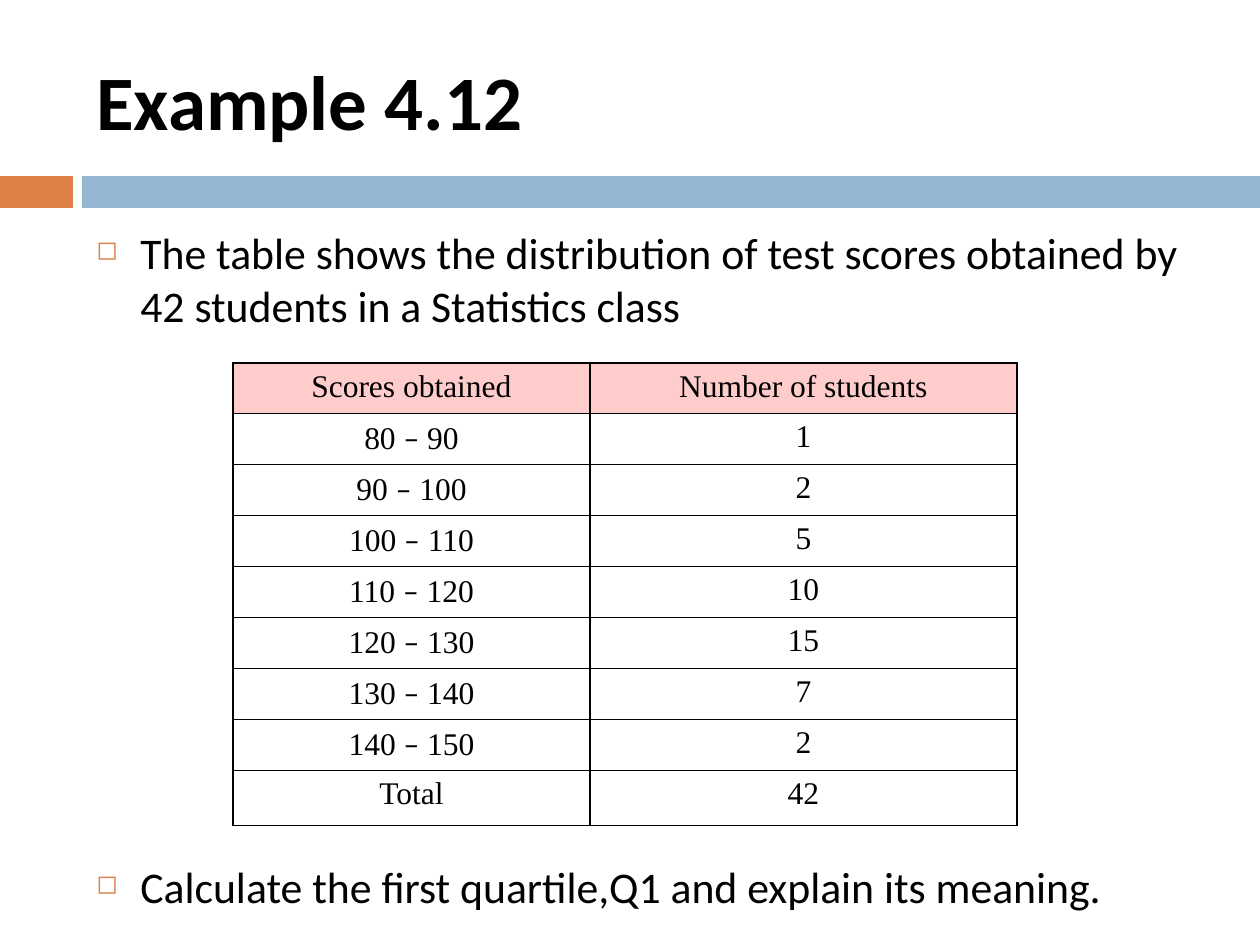
from lxml.etree import SubElement
from pptx import Presentation
from pptx.dml.color import RGBColor
from pptx.enum.shapes import MSO_SHAPE
from pptx.enum.text import MSO_ANCHOR, PP_ALIGN
from pptx.oxml.ns import qn
from pptx.util import Pt

SCALE = 914400 // 126
BLACK, ORANGE, BLUE, PINK = "000000", "DD8047", "94B6D2", "FFCCCC"
DASH = "–"

TITLE = ("Example 4.12", (84, 32, 1124, 136))
BULLETS = [
    ("The table shows the distribution of test scores obtained by "
     "42 students in a Statistics class", (84, 220, 1111, 123)),
    ("Calculate the first quartile,Q1 and explain its meaning.", (84, 854, 1111, 70)),
]
BARS = [(ORANGE, (0, 176, 73, 32)), (BLUE, (82, 176, 1178, 32))]
SCORES = [
    ("Scores obtained", "Number of students"),
    ("80 – 90", "1"),
    ("90 – 100", "2"),
    ("100 – 110", "5"),
    ("110 – 120", "10"),
    ("120 – 130", "15"),
    ("130 – 140", "7"),
    ("140 – 150", "2"),
    ("Total", "42"),
]
TABLE_LEFT, TABLE_TOP = 233, 363
COLUMN_WIDTHS = [357, 427]
ROW_HEIGHTS = [50] + [51] * (len(SCORES) - 2) + [55]


def emu(*pixels):
    return [value * SCALE for value in pixels]


def color(value):
    return RGBColor.from_string(value)


def set_font(font, name, size, bold=False):
    font.name, font.size, font.bold = name, Pt(size), bold
    font.color.rgb = color(BLACK)


def add_text(slide, text, box, size, bold=False):
    frame = slide.shapes.add_textbox(*emu(*box)).text_frame
    frame.word_wrap = True
    paragraph = frame.paragraphs[0]
    paragraph.text = text
    set_font(paragraph.font, "Calibri", size, bold)
    return frame


def add_bullet(paragraph):
    properties = paragraph._p.get_or_add_pPr()
    indent = 44 * SCALE
    properties.set("marL", str(indent))
    properties.set("indent", str(-indent))
    marks = [("a:buClr", {}), ("a:buSzPct", {"val": "60000"}), ("a:buChar", {"char": "◻"})]
    for position, (tag, attributes) in enumerate(marks):
        mark = properties.makeelement(qn(tag), attributes)
        properties.insert(position, mark)
        if tag == "a:buClr":
            SubElement(mark, qn("a:srgbClr"), val=ORANGE)


def add_borders(cell):
    properties = cell._tc.get_or_add_tcPr()
    for position, side in enumerate(("a:lnL", "a:lnR", "a:lnT", "a:lnB")):
        line = properties.makeelement(qn(side), {"w": str(Pt(1))})
        properties.insert(position, line)
        SubElement(SubElement(line, qn("a:solidFill")), qn("a:srgbClr"), val=BLACK)


def fill_cell(cell, text, is_header):
    if is_header:
        cell.fill.solid()
        cell.fill.fore_color.rgb = color(PINK)
    else:
        cell.fill.background()
    add_borders(cell)
    paragraph = cell.text_frame.paragraphs[0]
    paragraph.alignment = PP_ALIGN.CENTER
    set_font(paragraph.font, "Times New Roman", 18)
    for part in filter(None, text.partition(DASH)):
        run = paragraph.add_run()
        run.text = part
        set_font(run.font, "Calibri" if part == DASH else "Times New Roman", 18)


presentation = Presentation()
presentation.slide_width, presentation.slide_height = emu(1260, 945)
slide = presentation.slides.add_slide(presentation.slide_layouts[6])

for bar_color, box in BARS:
    bar = slide.shapes.add_shape(MSO_SHAPE.RECTANGLE, *emu(*box))
    bar.shadow.inherit = False
    bar.fill.solid()
    bar.fill.fore_color.rgb = color(bar_color)
    bar.line.fill.background()

for text, box in BULLETS:
    add_bullet(add_text(slide, text, box, 25).paragraphs[0])

add_text(slide, *TITLE, 44, True).vertical_anchor = MSO_ANCHOR.MIDDLE

table = slide.shapes.add_table(
    len(SCORES), len(COLUMN_WIDTHS),
    *emu(TABLE_LEFT, TABLE_TOP, sum(COLUMN_WIDTHS), sum(ROW_HEIGHTS))).table
table.first_row = table.horz_banding = False
for column, width in zip(table.columns, emu(*COLUMN_WIDTHS)):
    column.width = width
for row_index, (row, height) in enumerate(zip(table.rows, emu(*ROW_HEIGHTS))):
    row.height = height
    for cell, text in zip(row.cells, SCORES[row_index]):
        fill_cell(cell, text, row_index == 0)

presentation.save("out.pptx")
